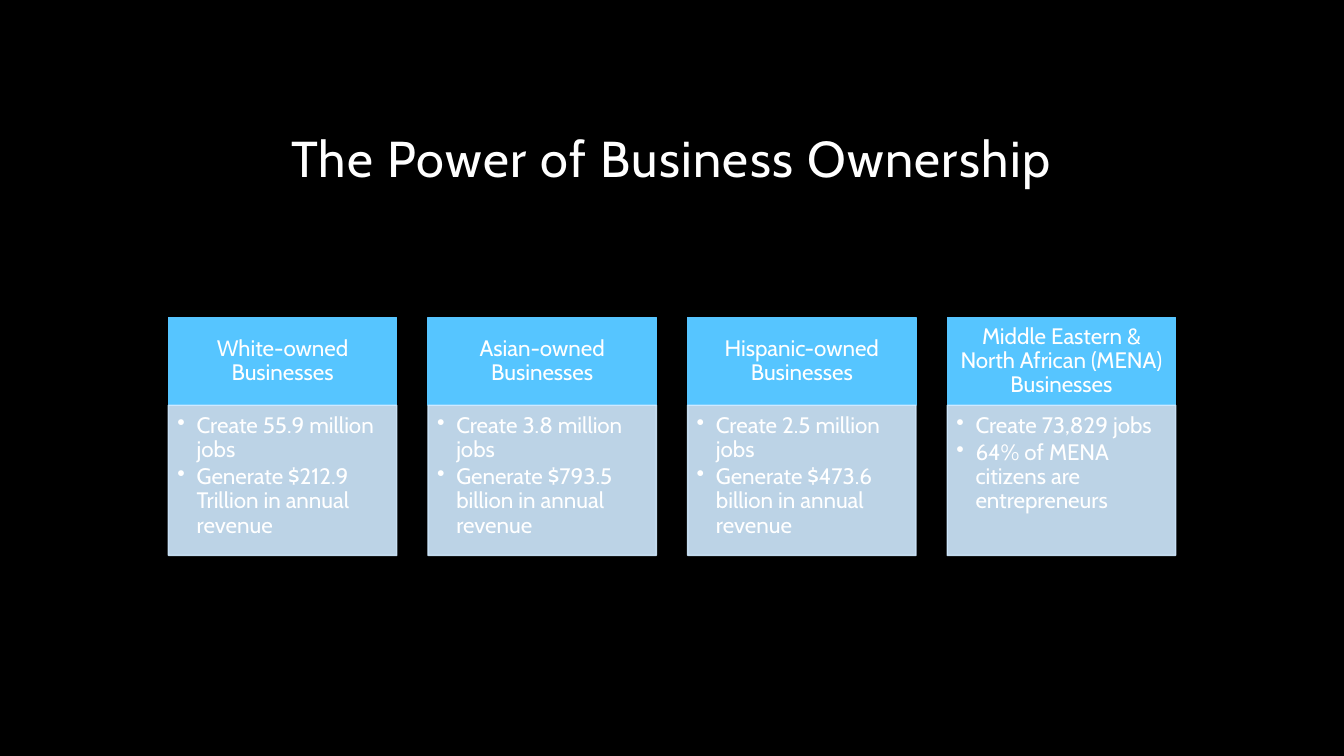
from lxml import etree
from pptx import Presentation
from pptx.dml.color import RGBColor
from pptx.enum.shapes import MSO_SHAPE
from pptx.enum.text import MSO_ANCHOR, MSO_AUTO_SIZE, PP_ALIGN
from pptx.oxml.ns import qn
from pptx.util import Inches, Pt

RECT = MSO_SHAPE.RECTANGLE
TOP, MIDDLE, BOTTOM = MSO_ANCHOR.TOP, MSO_ANCHOR.MIDDLE, MSO_ANCHOR.BOTTOM
LEFT, CENTER = PP_ALIGN.LEFT, PP_ALIGN.CENTER
FIXED = MSO_AUTO_SIZE.NONE

TITLE = "The Power of Business Ownership"
CARDS = [
    ("White-owned Businesses",
     ["Create 55.9 million jobs", "Generate $212.9 Trillion in annual revenue"]),
    ("Asian-owned Businesses",
     ["Create 3.8 million jobs", "Generate $793.5 billion in annual revenue"]),
    ("Hispanic-owned Businesses",
     ["Create 2.5 million jobs", "Generate $473.6 billion in annual revenue"]),
    ("Middle Eastern & North African (MENA) Businesses",
     ["Create 73,829 jobs", "64% of MENA citizens are entrepreneurs"]),
]


def color(code):
    return RGBColor.from_string(code)


class Deck:
    """Style, card grid and current slide; grid lengths are in inches."""
    font, ink, back = "Cabin", "FFFFFF", "000000"
    head, body = "56C5FF", "D1EAFF"
    left, right, gap = 1.67, 11.66, 0.31
    rows = [3.15, 4.02, 5.51]

    def __init__(self, count):
        self.prs = Presentation()
        self.prs.slide_width, self.prs.slide_height = Inches(13.33), Inches(7.5)
        self.slide = self.prs.slides.add_slide(self.prs.slide_layouts[5])
        fill = self.slide.background.fill
        fill.solid()
        fill.fore_color.rgb = color(self.back)
        self.width = (self.right - self.left - self.gap * (count - 1)) / count

    def cell(self, col, row):
        """Return left, top, width and height of a grid cell."""
        x = self.left + col * (self.width + self.gap)
        y, end = self.rows[row:row + 2]
        return [Inches(n) for n in (x, y, self.width, end - y)]

    def frame(self, shape, anchor, pads):
        text = shape.text_frame
        text.word_wrap, text.auto_size = True, FIXED
        text.vertical_anchor = anchor
        (text.margin_left, text.margin_top,
         text.margin_right, text.margin_bottom) = [Inches(n) for n in pads]
        return text

    def add_run(self, para, words, size, align):
        para.alignment, para.line_spacing = align, 0.9
        run = para.add_run()
        run.text = words
        run.font.name, run.font.size = self.font, Pt(size)
        run.font.color.rgb = color(self.ink)
        return run

    def bullet(self, para):
        para.level, para.space_after = 1, Pt(2)
        para.space_before = Pt(0)
        props = para._p.get_or_add_pPr()
        props.set("marL", str(Inches(0.19)))
        props.set("indent", str(Inches(-0.19)))
        etree.SubElement(props, qn("a:buChar"), char="•")

    def title(self, words):
        shape = self.slide.shapes.title
        shape.left, shape.top = Inches(1.66), Inches(0.42)
        shape.width, shape.height = Inches(10), Inches(1.5)
        text = self.frame(shape, BOTTOM, (0.1, 0.05, 0.1, 0.05))
        run = self.add_run(text.paragraphs[0], words, 36, CENTER)
        run._r.get_or_add_rPr().set("spc", "100")

    def box(self, col, row, shade, alpha=100):
        """Add a grid rectangle; alpha is its opacity in percent."""
        shape = self.slide.shapes.add_shape(RECT, *self.cell(col, row))
        shape.shadow.inherit = False
        shape.fill.solid()
        shape.fill.fore_color.rgb = color(shade)
        shape.line.color.rgb = color(shade)
        shape.line.width = Pt(1)
        if alpha < 100:
            for tint in shape._element.spPr.iter(qn("a:srgbClr")):
                etree.SubElement(tint, qn("a:alpha"), val=str(alpha * 1000))
        return shape

    def card(self, col, name, facts):
        head = self.box(col, 0, self.head)
        text = self.frame(head, MIDDLE, (0.12, 0.07, 0.12, 0.07))
        self.add_run(text.paragraphs[0], name, 16, CENTER)
        body = self.box(col, 1, self.body, 90)
        text = self.frame(body, TOP, (0.09, 0.09, 0.12, 0.14))
        for i, fact in enumerate(facts):
            para = text.add_paragraph() if i else text.paragraphs[0]
            self.add_run(para, fact, 16, LEFT)
            self.bullet(para)


def main():
    deck = Deck(len(CARDS))
    deck.title(TITLE)
    for col, (name, facts) in enumerate(CARDS):
        deck.card(col, name, facts)
    deck.prs.save("out.pptx")


if __name__ == "__main__":
    main()
